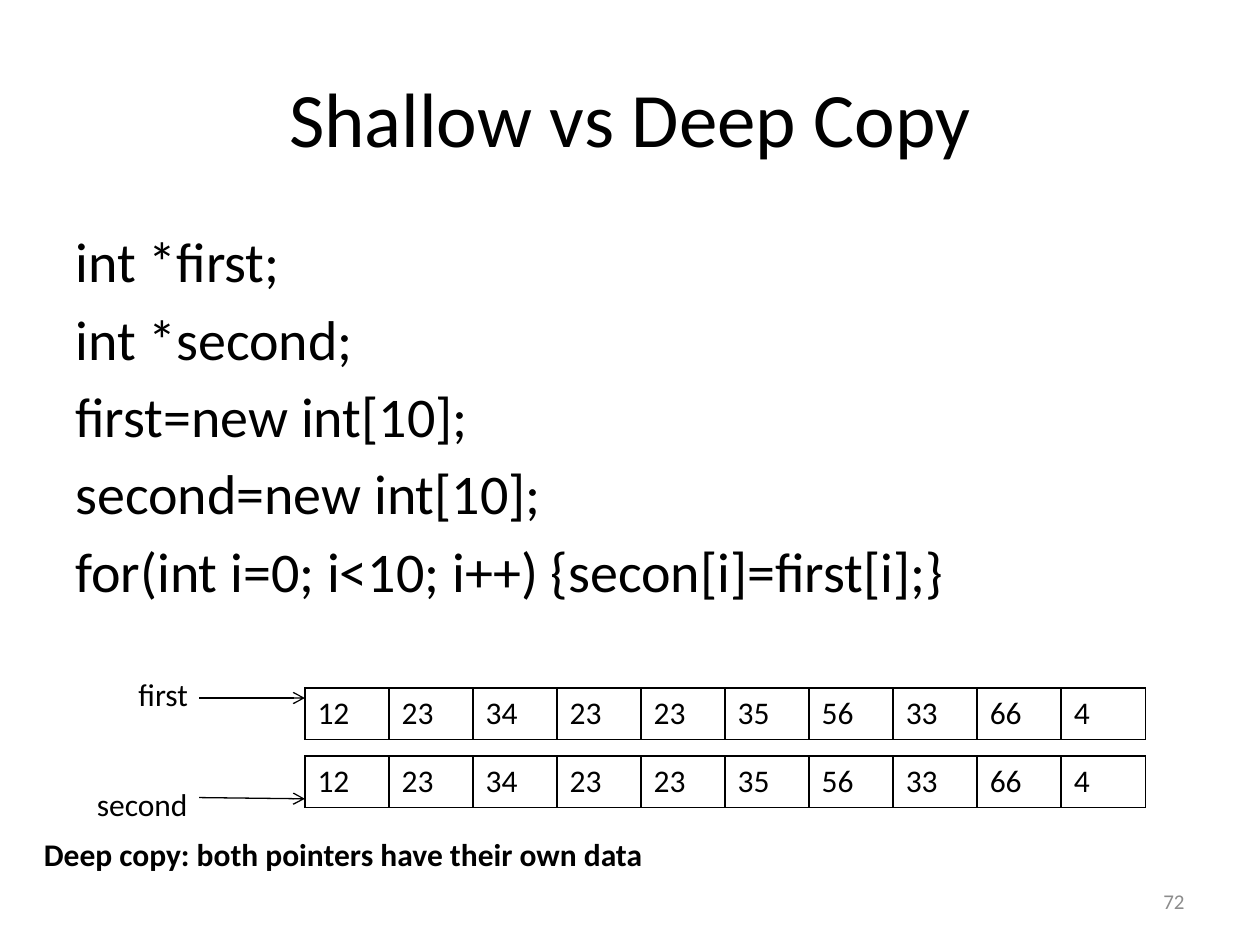
import pptx
import pptx.dml.color
import pptx.enum.shapes
import pptx.enum.text
import pptx.oxml
import pptx.oxml.ns
import pptx.util
from pptx.util import Inches

BLACK = pptx.dml.color.RGBColor(0x00, 0x00, 0x00)
GRAY = pptx.dml.color.RGBColor(0x8C, 0x8C, 0x8C)
FONT = "Calibri"
ALIGN = pptx.enum.text.PP_ALIGN
ANCHOR = pptx.enum.text.MSO_ANCHOR

TITLE = "Shallow vs Deep Copy"
CODE = [
    "int *first;",
    "int *second;",
    "first=new int[10];",
    "second=new int[10];",
    "for(int i=0; i<10; i++) {secon[i]=first[i];}",
]
VALUES = [12, 23, 34, 23, 23, 35, 56, 33, 66, 4]
CAPTION = "Deep copy: both pointers have their own data"
PAGE_NUMBER = "72"

# name, label left, label top, arrow start y, arrow end y, table top
POINTERS = [
    ("first", 1, 5.31, 5.54, 5.54, 5.46),
    ("second", 0.67, 6.18, 6.33, 6.34, 6),
]
ARROW_LEFT, TABLE_LEFT = 1.58, 2.42
TABLE_WIDTH, ROW_HEIGHT = 6.67, 0.41


def write(frame, lines, size, color=BLACK, bold=False, align=ALIGN.LEFT, space=0):
    for index, line in enumerate(lines):
        para = frame.add_paragraph() if index else frame.paragraphs[0]
        para.alignment = align
        para.space_before = pptx.util.Pt(space if index else 0)
        span = para.add_run()
        span.text = line
        span.font.name = FONT
        span.font.size = pptx.util.Pt(size)
        span.font.bold = bold
        span.font.color.rgb = color


def add_text(page, place, lines, size, anchor=ANCHOR.TOP, **style):
    box = page.shapes.add_textbox(*map(Inches, place))
    box.text_frame.word_wrap = True
    box.text_frame.vertical_anchor = anchor
    write(box.text_frame, lines, size, **style)


def add_borders(cell):
    """Put a thin black line on all four sides of a cell."""
    properties = cell._tc.get_or_add_tcPr()
    for index, side in enumerate(("lnL", "lnR", "lnT", "lnB")):
        line = pptx.oxml.parse_xml(
            f'<a:{side} {pptx.oxml.ns.nsdecls("a")} w="12700"><a:solidFill>'
            f'<a:srgbClr val="{BLACK}"/></a:solidFill></a:{side}>')
        properties.insert(index, line)


def add_array(page, top):
    table = page.shapes.add_table(
        1, len(VALUES), Inches(TABLE_LEFT), Inches(top),
        Inches(TABLE_WIDTH), Inches(ROW_HEIGHT)).table
    table.first_row = table.horz_banding = False
    for cell, value in zip(table.iter_cells(), VALUES):
        cell.fill.background()
        add_borders(cell)
        write(cell.text_frame, [str(value)], 18)


def add_arrow(page, start_y, end_y):
    arrow = page.shapes.add_connector(
        pptx.enum.shapes.MSO_CONNECTOR.STRAIGHT,
        Inches(ARROW_LEFT), Inches(start_y), Inches(TABLE_LEFT), Inches(end_y))
    arrow.line.color.rgb = BLACK
    arrow.line.width = pptx.util.Pt(0.75)
    namespace = pptx.oxml.ns.nsdecls("a")
    arrow.line._get_or_add_ln().append(
        pptx.oxml.parse_xml(f'<a:tailEnd {namespace} type="arrow"/>'))
    arrow._element.spPr.append(pptx.oxml.parse_xml(f"<a:effectLst {namespace}/>"))


def main():
    deck = pptx.Presentation()
    deck.slide_width, deck.slide_height = Inches(10), Inches(7.5)
    page = deck.slides.add_slide(deck.slide_layouts[5])

    title = page.shapes.title
    title.left, title.top, title.width, title.height = map(Inches, (0.5, 0.3, 9, 1.25))
    title.text_frame.vertical_anchor = ANCHOR.MIDDLE
    write(title.text_frame, [TITLE], 44, align=ALIGN.CENTER)

    add_text(page, (0.5, 1.75, 9, 4.95), CODE, 32, space=5.8)
    for name, left, label_top, start_y, end_y, table_top in POINTERS:
        add_array(page, table_top)
        add_arrow(page, start_y, end_y)
        add_text(page, (left, label_top, 1.17, 0.4), [name], 18)
    add_text(page, (0.25, 6.58, 6.08, 0.4), [CAPTION], 18, bold=True)
    add_text(page, (7.17, 6.95, 2.33, 0.4), [PAGE_NUMBER], 12,
             anchor=ANCHOR.MIDDLE, color=GRAY, align=ALIGN.RIGHT)
    deck.save("out.pptx")


if __name__ == "__main__":
    main()
